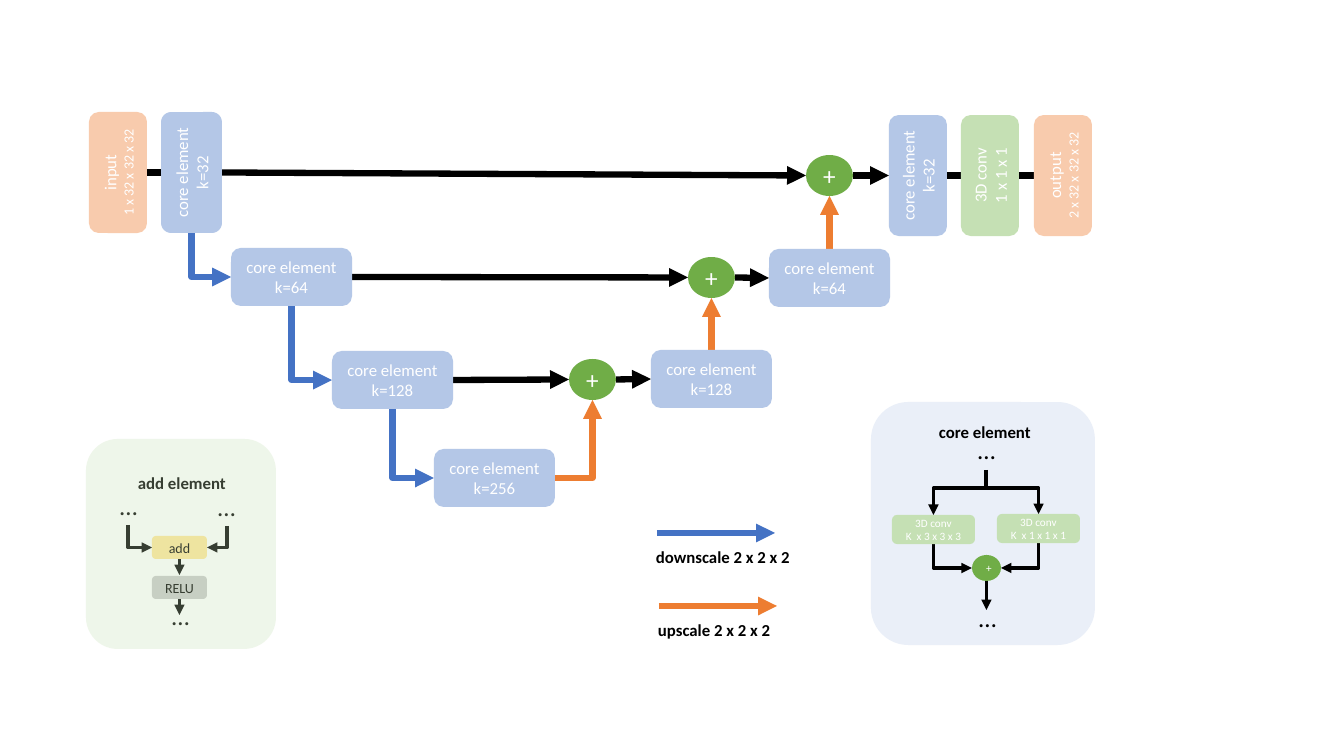
from dataclasses import dataclass
from typing import Any

from lxml.etree import SubElement
from pptx import Presentation
from pptx.dml.color import RGBColor
from pptx.enum.shapes import MSO_CONNECTOR as CONNECTOR, MSO_SHAPE as SHAPE
from pptx.enum.text import MSO_ANCHOR as ANCHOR, MSO_AUTO_SIZE as AUTO_SIZE, PP_ALIGN as ALIGN
from pptx.oxml.ns import qn
from pptx.util import Pt

SCALE = 914400 / 100.8
COLOURS = {
    "core": "B4C7E7", "conv": "C5E0B4", "data": "F8CBAD", "sum": "70AD47",
    "down": "4472C4", "up": "ED7D31", "add": "FFE699", "relu": "C9C9C9",
    "black": "000000", "white": "FFFFFF",
}
WIDE, TALL, SUM = (121, 58), (58, 121), (47, 41)
THICK, THIN = 4.5, 2.5


def emu(*pixels):
    return [round(pixel * SCALE) for pixel in pixels]


def rgb(name):
    return RGBColor.from_string(COLOURS[name])


# Edge midpoints of a (left, top, width, height) box
def left_of(box):
    return box[0], box[1] + box[3] / 2


def right_of(box):
    return box[0] + box[2], box[1] + box[3] / 2


def top_of(box):
    return box[0] + box[2] / 2, box[1]


def bottom_of(box):
    return box[0] + box[2] / 2, box[1] + box[3]


@dataclass
class Region:
    """Draws parts relative to the top left corner of one region."""
    shapes: Any
    left: int
    top: int

    def fill_text(self, shape, lines, sizes, colour, align, bold=False):
        frame = shape.text_frame
        for index, (line, size) in enumerate(zip(lines, sizes)):
            paragraph = frame.paragraphs[0] if index == 0 else frame.add_paragraph()
            paragraph.alignment = align
            run = paragraph.add_run()
            run.text = line
            for name, value in {"name": "Calibri", "size": Pt(size), "bold": bold}.items():
                setattr(run.font, name, value)
            run.font.color.rgb = rgb(colour)

    def block(self, box, fill, lines=(), sizes=(12, 12), colour="white",
              kind=SHAPE.ROUNDED_RECTANGLE, upright=False, alpha=None):
        x, y, width, height = box
        if upright:  # a wide block turned a quarter to the left
            x, y = x + (width - height) / 2, y + (height - width) / 2
            width, height = height, width
        shape = self.shapes.add_shape(kind, *emu(self.left + x, self.top + y, width, height))
        shape.rotation = 270 if upright else 0
        shape.shadow.inherit = False
        shape.fill.solid()
        shape.fill.fore_color.rgb = rgb(fill)
        shape.line.fill.background()
        if alpha:
            tone = shape.element.spPr.find(qn("a:solidFill"))[0]
            SubElement(tone, qn("a:alpha")).set("val", str(alpha * 1000))
        shape.text_frame.vertical_anchor = ANCHOR.MIDDLE
        self.fill_text(shape, lines, sizes, colour, ALIGN.CENTER)

    def plus(self, box, size=18):
        self.block(box, "sum", ["+"], [size], kind=SHAPE.OVAL)

    def label(self, box, text, size=12, bold=True):
        x, y, width, height = box
        shape = self.shapes.add_textbox(*emu(self.left + x, self.top + y, width, height))
        for name, value in {"word_wrap": False, "auto_size": AUTO_SIZE.SHAPE_TO_FIT_TEXT}.items():
            setattr(shape.text_frame, name, value)
        self.fill_text(shape, [text], [size], "black", ALIGN.LEFT, bold)

    def dots(self, x, y):
        self.label((x, y, 38, 40), "…", 18, False)

    def line(self, start, end, colour="black", weight=THICK, head=True, kind=CONNECTOR.STRAIGHT):
        (x1, y1), (x2, y2) = start, end
        connector = self.shapes.add_connector(
            kind, *emu(self.left + x1, self.top + y1, self.left + x2, self.top + y2))
        connector.line.width = Pt(weight)
        connector.line.color.rgb = rgb(colour)
        properties = connector.element.spPr
        if head:
            SubElement(properties.find(qn("a:ln")), qn("a:tailEnd")).set("type", "triangle")
        SubElement(properties, qn("a:effectLst"))
        return properties

    def across(self, start, end, colour="black", weight=THICK):
        """One-corner arrow that starts sideways."""
        properties = self.line(start, end, colour, weight, kind=CONNECTOR.ELBOW)
        properties.find(qn("a:prstGeom")).set("prst", "bentConnector2")
        return properties

    def drop(self, start, end, colour="black", weight=THICK):
        """One-corner arrow that starts downwards: a turned sideways one."""
        (x1, y1), (x2, y2) = start, end
        middle_x, middle_y = (x1 + x2) / 2, (y1 + y2) / 2
        side = 1 if x2 > x1 else -1
        half_width, half_height = side * (y2 - y1) / 2, abs(x2 - x1) / 2
        properties = self.across((middle_x + half_width, middle_y - half_height),
                                 (middle_x - half_width, middle_y + half_height), colour, weight)
        turn = 270 if side > 0 else 90
        properties.find(qn("a:xfrm")).set("rot", str(turn * 60000))


def draw_network(slide, left, top):
    region = Region(slide.shapes, left, top)
    source, encoder = (1, 0, *TALL), (73, 0, 61, 121)
    decoder, conv, output = [(x, 3, *TALL) for x in (801, 873, 946)]
    bottom = (346, 337, *WIDE)
    # Levels from fine to coarse: k, encoder block, sum, decoder block
    levels = [
        (32, encoder, (718, 43, *SUM), decoder),
        (64, (143, 136, *WIDE), (600, 145, *SUM), (681, 137, *WIDE)),
        (128, (244, 239, *WIDE), (481, 247, *SUM), (563, 238, *WIDE)),
    ]

    # Links between levels
    lower_blocks = [level[1] for level in levels[1:]] + [bottom]
    for (_, block, _, _), lower in zip(levels, lower_blocks):
        region.drop(bottom_of(block), left_of(lower), "down")
    for (_, _, total, _), (_, _, _, lower) in zip(levels, levels[1:]):
        region.line(top_of(lower), bottom_of(total), "up")
    region.across(right_of(bottom), bottom_of(levels[-1][2]), "up")

    # Blocks and skip links of each level
    for k, block, total, result in levels:
        region.line(right_of(block), left_of(total))
        region.line(right_of(total), left_of(result))
        for box in (block, result):
            region.block(box, "core", ["core element", f"k={k}"], upright=k == 32)
        region.plus(total)
    region.block(bottom, "core", ["core element", "k=256"])

    # Input and output stages
    for first, second in ((source, encoder), (decoder, conv), (conv, output)):
        region.line(right_of(first), left_of(second), head=False)
    for box, fill, lines, sizes in (
            (source, "data", ["input", "1 x 32 x 32 x 32"], (12, 10)),
            (conv, "conv", ["3D conv", "1 x 1 x 1"], (12, 12)),
            (output, "data", ["output", "2 x 32 x 32 x 32"], (12, 10))):
        region.block(box, fill, lines, sizes, upright=True)


def draw_core_element(slide, left, top, width, height):
    region = Region(slide.shapes.add_group_shape().shapes, left, top)
    region.block((0, 0, width, height), "core", alpha=28)
    region.label((58, 15, 113, 30), "core element")
    total, fork = (101, 153, 29, 26), (115, 86)
    region.line((115, 68), (115, 87), weight=THIN, head=False)
    for box, kernel, side in (((21, 113, 83, 29), 3, left_of), ((126, 112, 83, 29), 1, right_of)):
        region.across(fork, top_of(box), weight=THIN)
        region.drop(bottom_of(box), side(total), weight=THIN)
        region.block(box, "conv", ["3D conv", f"K  x {kernel} x {kernel} x {kernel}"], (8, 8))
    region.plus(total, 8)
    region.line(bottom_of(total), (115.5, 208), weight=THIN)
    region.dots(97, 27)
    region.dots(98, 195)


def draw_add_element(slide, left, top, width, height):
    region = Region(slide.shapes.add_group_shape().shapes, left, top)
    region.label((42, 29, 109, 30), "add element")
    add, relu = (66, 97, 55, 23), (66, 137, 55, 23)
    region.drop((42, 86), left_of(add), weight=THIN)
    region.drop((141, 87), right_of(add), weight=THIN)
    for box, fill, text in ((add, "add", "add"), (relu, "relu", "RELU")):
        x, y = bottom_of(box)
        region.line((x, y), (x, y + 16), weight=THIN)
        region.block(box, fill, [text], [10], "black")
    for x, y in ((24, 46), (122, 47), (76, 156)):
        region.dots(x, y)
    # Translucent panel lies over its contents
    region.block((0, 0, width, height), "conv", alpha=28)


def draw_legend_entry(slide, left, top, width, height, text, colour):
    region = Region(slide.shapes.add_group_shape().shapes, left, top)
    region.line((11, 13), (129, 13), colour)
    region.label((0, 22, width, height), text)


presentation = Presentation()
presentation.slide_width, presentation.slide_height = emu(1344, 756)
slide = presentation.slides.add_slide(presentation.slide_layouts[6])
draw_network(slide, 88, 112)
draw_core_element(slide, 871, 402, 224, 243)
draw_legend_entry(slide, 648, 593, 134, 25, "upscale 2 x 2 x 2", "up")
draw_legend_entry(slide, 646, 520, 156, 30, "downscale 2 x 2 x 2", "down")
draw_add_element(slide, 86, 439, 190, 210)
presentation.save("out.pptx")
